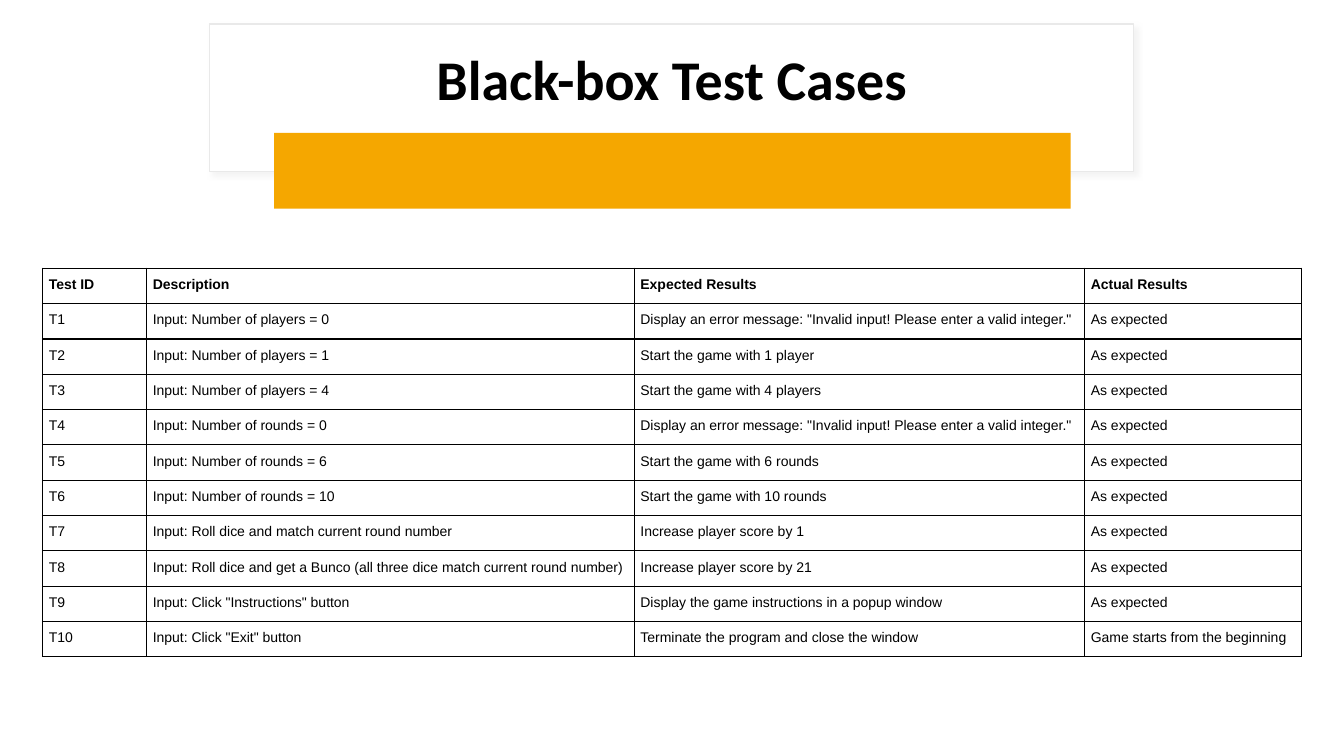
from lxml import etree
from pptx import Presentation
from pptx.dml.color import RGBColor
from pptx.enum.shapes import MSO_SHAPE
from pptx.enum.text import MSO_ANCHOR, MSO_AUTO_SIZE, PP_ALIGN
from pptx.oxml.ns import qn
from pptx.util import Cm, Pt

RECTANGLE = MSO_SHAPE.RECTANGLE
MIDDLE = MSO_ANCHOR.MIDDLE
NO_AUTOFIT = MSO_AUTO_SIZE.NONE
CENTER = PP_ALIGN.CENTER
JUSTIFY = PP_ALIGN.JUSTIFY

TITLE_ONLY = 5
COLORS = {
    "white": "FFFFFF",
    "black": "000000",
    "outline": "E9E9E9",
    "shadow": "D9D9D9",
    "accent": "F5A700",
}

HEADERS = ["Test ID", "Description", "Expected Results", "Actual Results"]
COLUMN_WIDTHS = [2.62, 12.29, 11.35, 5.46]
ROW_HEIGHT = 0.89
CELL_MARGIN = 0.16

INVALID_INPUT = 'Display an error message: "Invalid input! Please enter a valid integer."'
AS_EXPECTED = "As expected"
TEST_CASES = [
    ("Number of players = 0", INVALID_INPUT, AS_EXPECTED),
    ("Number of players = 1", "Start the game with 1 player", AS_EXPECTED),
    ("Number of players = 4", "Start the game with 4 players", AS_EXPECTED),
    ("Number of rounds = 0", INVALID_INPUT, AS_EXPECTED),
    ("Number of rounds = 6", "Start the game with 6 rounds", AS_EXPECTED),
    ("Number of rounds = 10", "Start the game with 10 rounds", AS_EXPECTED),
    ("Roll dice and match current round number", "Increase player score by 1", AS_EXPECTED),
    ("Roll dice and get a Bunco (all three dice match current round number)",
     "Increase player score by 21", AS_EXPECTED),
    ('Click "Instructions" button', "Display the game instructions in a popup window", AS_EXPECTED),
    ('Click "Exit" button', "Terminate the program and close the window",
     "Game starts from the beginning"),
]


def rgb(name):
    return RGBColor.from_string(COLORS[name])


def add_color(parent, name):
    """Append a solid fill to an XML element and return its colour element."""
    fill = etree.SubElement(parent, qn("a:solidFill"))
    return etree.SubElement(fill, qn("a:srgbClr"), val=COLORS[name])


def write_text(frame, text, font, size, bold, align, spacing):
    para = frame.paragraphs[0]
    para.alignment = align
    para.line_spacing = spacing
    span = para.add_run()
    span.text = text
    span.font.name = font
    span.font.size = Pt(size)
    span.font.bold = bold
    span.font.color.rgb = rgb("black")


def add_panel(page, left, top, width, height, fill, outline=None):
    box = page.shapes.add_shape(RECTANGLE, Cm(left), Cm(top), Cm(width), Cm(height))
    box.shadow.inherit = False
    box.fill.solid()
    box.fill.fore_color.rgb = rgb(fill)
    if outline:
        box.line.color.rgb = rgb(outline)
        box.line.width = Pt(1)
    else:
        box.line.fill.background()
    return box


def add_soft_shadow(box):
    effects = box._element.spPr.find(qn("a:effectLst"))
    shadow = etree.SubElement(
        effects, qn("a:outerShdw"), blurRad=str(Pt(4)), dist=str(Pt(3)),
        dir=str(45 * 60000), algn="tl", rotWithShape="0")
    color = etree.SubElement(shadow, qn("a:srgbClr"), val=COLORS["shadow"])
    etree.SubElement(color, qn("a:alpha"), val="30000")


def place_title(page, text):
    title = page.shapes.title
    title.left, title.top = Cm(5.84), Cm(0.86)
    title.width, title.height = Cm(22.17), Cm(2.41)
    frame = title.text_frame
    frame.auto_size = NO_AUTOFIT
    frame.word_wrap = True
    frame.vertical_anchor = MIDDLE
    write_text(frame, text, "Calibri", 40, True, CENTER, 0.9)
    return title


def add_cell_borders(cell):
    properties = cell._tc.get_or_add_tcPr()
    for side in ("lnL", "lnR", "lnT", "lnB"):
        border = etree.SubElement(properties, qn(f"a:{side}"), w=str(Pt(1)))
        add_color(border, "black")


def format_cell(cell, text, bold):
    cell.margin_left = cell.margin_right = Cm(CELL_MARGIN)
    cell.margin_top = cell.margin_bottom = Cm(CELL_MARGIN)
    add_cell_borders(cell)
    cell.fill.background()
    write_text(cell.text_frame, text, "Arial", 10, bold, JUSTIFY, 1.15)


def add_test_table(page, left, top):
    rows = [HEADERS]
    for number, (action, expected, actual) in enumerate(TEST_CASES, start=1):
        rows.append([f"T{number}", f"Input: {action}", expected, actual])
    table = page.shapes.add_table(
        len(rows), len(HEADERS), Cm(left), Cm(top),
        Cm(sum(COLUMN_WIDTHS)), Cm(ROW_HEIGHT * len(rows))).table
    table.horz_banding = False
    for column, width in zip(table.columns, COLUMN_WIDTHS):
        column.width = Cm(width)
    for row_index, texts in enumerate(rows):
        table.rows[row_index].height = Cm(ROW_HEIGHT)
        for column_index, text in enumerate(texts):
            format_cell(table.cell(row_index, column_index), text, row_index == 0)


def main():
    deck = Presentation()
    deck.slide_width, deck.slide_height = Cm(33.87), Cm(19.05)
    page = deck.slides.add_slide(deck.slide_layouts[TITLE_ONLY])
    page.background.fill.solid()
    page.background.fill.fore_color.rgb = rgb("white")

    title = place_title(page, "Black-box Test Cases")
    card = add_panel(page, 5.28, 0.61, 23.29, 3.71, "white", "outline")
    add_soft_shadow(card)
    title._element.addprevious(card._element)  # keeps the card behind the title
    add_panel(page, 6.91, 3.35, 20.07, 1.91, "accent")
    add_test_table(page, 1.07, 6.76)

    deck.save("out.pptx")


if __name__ == "__main__":
    main()
